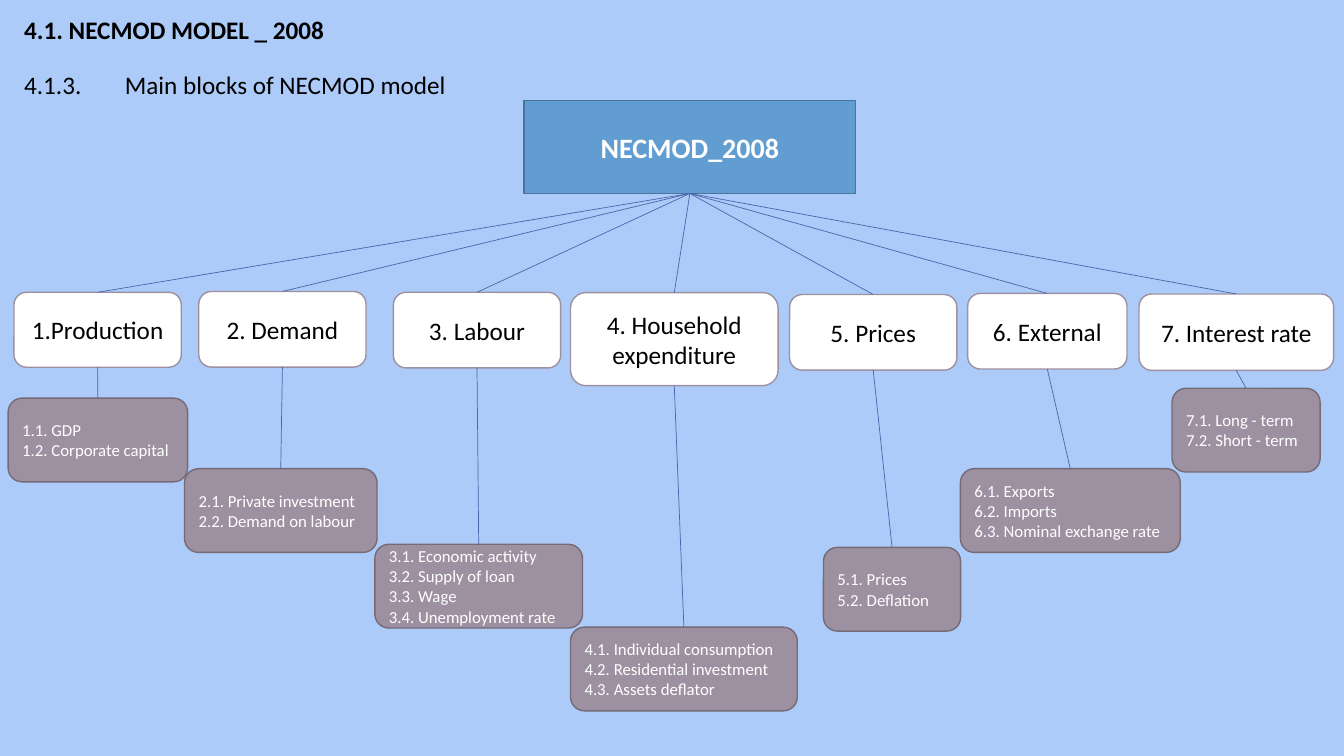
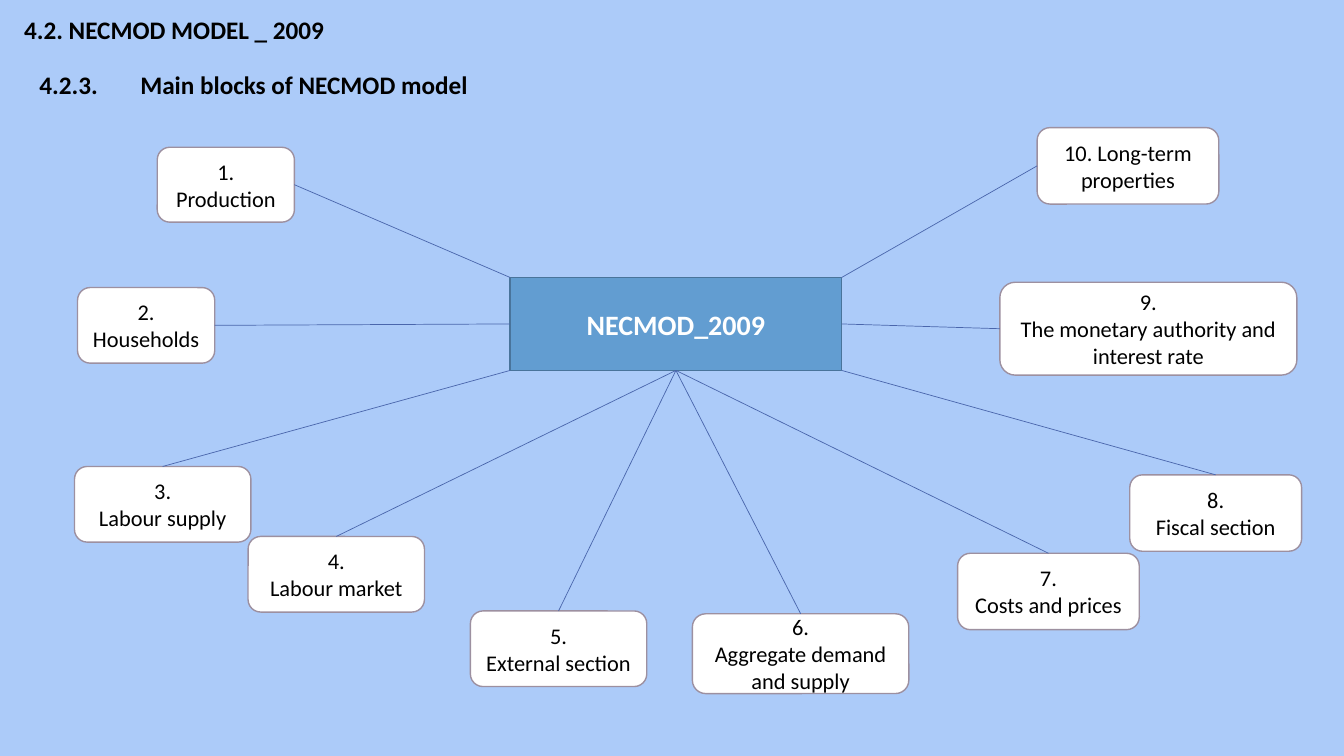
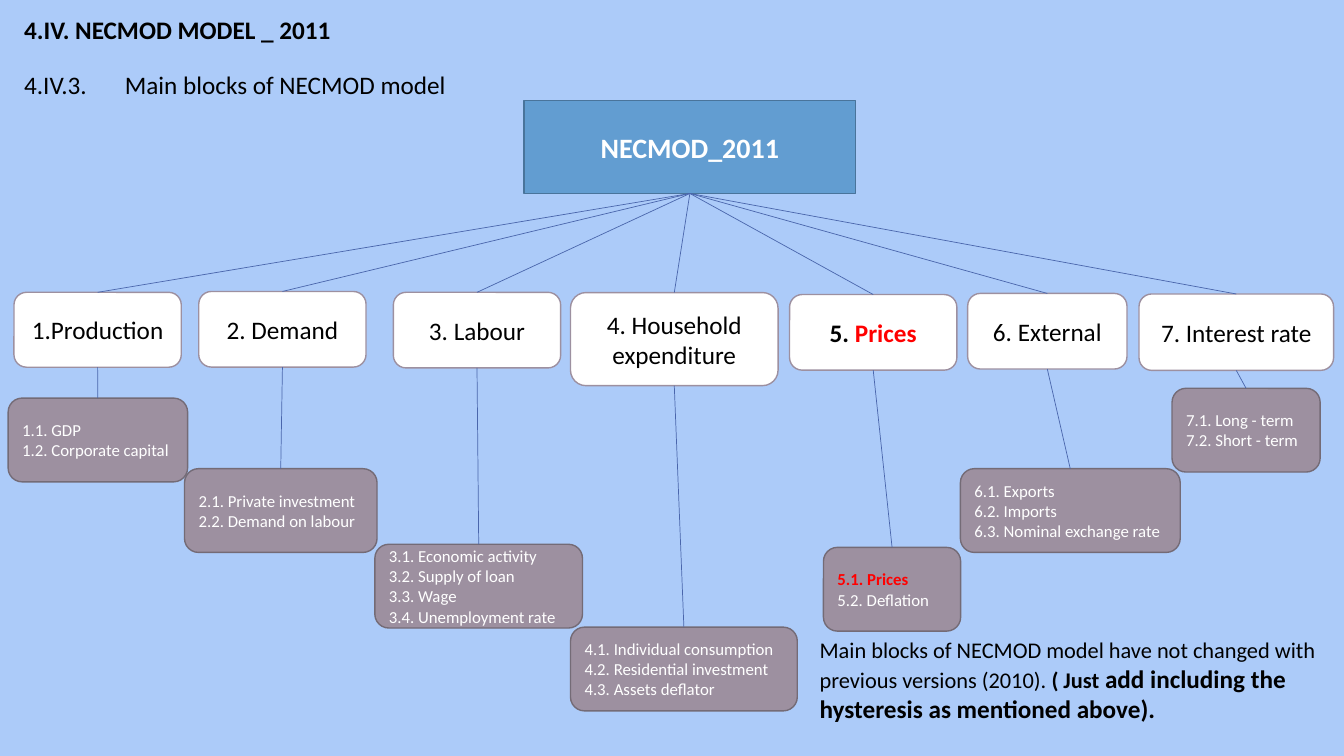
from collections import namedtuple

from lxml import etree
from pptx import Presentation
from pptx.dml.color import RGBColor
from pptx.enum import shapes, text
from pptx.oxml.ns import qn
from pptx.util import Pt

Look = namedtuple("Look", "form fill line size ink bold align")
ROUND, RECT = shapes.MSO_SHAPE.ROUNDED_RECTANGLE, shapes.MSO_SHAPE.RECTANGLE
LEFT, MID = text.PP_ALIGN.LEFT, text.PP_ALIGN.CENTER


class Theme:
    font = "Calibri"
    back, link = "ACCBF9", "4A66AC"
    ink, white, red = "000000", "FFFFFF", "FF0000"
    edge, thin = 1, 0.5
    title = Look(None, None, None, 18, ink, True, LEFT)
    body = title._replace(bold=False)
    note = body._replace(size=16)
    hub = Look(RECT, "629DD1", "49749B", 20, white, True, MID)
    head = Look(ROUND, white, "9D90A0", 18, ink, False, MID)
    node = head._replace(size=16)
    leaf = Look(ROUND, "9D90A0", "746B76", 12, white, False, LEFT)


# Points on a box, as fractions of its width and height, and their glue sites
TOP, WEST, BASE, EAST = (0.5, 0), (0, 0.5), (0.5, 1), (1, 0.5)
SITES = {TOP: 0, WEST: 1, BASE: 2, EAST: 3}


def write(frame, lines, look, marks):
    """Fill a frame; marks maps a line to runs of (text, size, colour, bold)."""
    frame.word_wrap = True
    for i, line in enumerate(lines):
        para = frame.add_paragraph() if i else frame.paragraphs[0]
        para.alignment = look.align
        para.space_before = Pt(0)
        for words, size, ink, bold in marks.get(line, [(line, look.size, look.ink, look.bold)]):
            run = para.add_run()
            run.text = words
            run.font.name = Theme.font
            run.font.size = Pt(size)
            run.font.bold = bold
            run.font.color.rgb = RGBColor.from_string(ink)


def join(slide, start, spot, end, goal):
    """Draw a line between two boxes, glued wherever a point is a glue site."""
    ends = [(box.left + int(box.width * x), box.top + int(box.height * y))
            for box, (x, y) in ((start, spot), (end, goal))]
    line = slide.shapes.add_connector(shapes.MSO_CONNECTOR.STRAIGHT, *ends[0], *ends[1])
    if spot in SITES:
        line.begin_connect(start, SITES[spot])
    if goal in SITES:
        line.end_connect(end, SITES[goal])
    line.line.color.rgb = RGBColor.from_string(Theme.link)
    line.line.width = Pt(Theme.thin)
    etree.SubElement(line._element.spPr, qn("a:effectLst"))


# Blocks of the tree: head box, head text, list box, list lines
TREE = [
    ((10, 208.8, 119.5, 53.5), "1.Production", (5.8, 284.4, 128.2),
     ["1.1. GDP", "1.2. Corporate capital"]),
    ((142, 208.2, 119.5, 54), "2. Demand", (131.8, 334.8, 137.5),
     ["2.1. Private investment", "2.2. Demand on labour"]),
    ((281, 208.8, 119.5, 54), "3. Labour", (267.8, 388.8, 148.3),
     ["3.1. Economic activity", "3.2. Supply of loan", "3.3. Wage", "3.4. Unemployment rate"]),
    ((407.5, 209, 148.3, 66.5), "4. Household expenditure", (407.5, 448, 162),
     ["4.1. Individual consumption", "4.2. Residential investment", "4.3. Assets deflator"]),
    ((564, 210.4, 119.5, 54), "5. Prices", (588.2, 391, 98),
     ["5.1. Prices", "5.2. Deflation"]),
    ((691.2, 209.6, 113.8, 54), "6. External", (686, 334.8, 157),
     ["6.1. Exports", "6.2. Imports", "6.3. Nominal exchange rate"]),
    ((813.6, 210, 139, 54.6), "7. Interest rate", (837.2, 277.4, 105.8),
     ["7.1. Long - term", "7.2. Short - term"]),
]
tall = 59.8

# Blocks of the star: box, lines, point on the hub, point on the box
STAR = [
    ((112.3, 105.2, 98, 53.5), ["1.", "Production"], (0, 0), EAST),
    ((55.4, 205.4, 98, 54), ["2. Households"], WEST, EAST),
    ((53.2, 333.2, 126, 54), ["3.", "Labour supply"], (0, 1), TOP),
    ((177.2, 383.2, 126, 54), ["4.", "Labour market"], BASE, TOP),
    ((336, 436.4, 126, 54), ["5.", "External section"], BASE, TOP),
    ((494.6, 438.4, 154.6, 57), ["6.", "Aggregate demand and supply"], BASE, TOP),
    ((684, 395.2, 129.8, 54.6), ["7.", "Costs and prices"], BASE, TOP),
    ((807, 339.2, 122.8, 54.6), ["8.", "Fiscal section"], (1, 1), TOP),
    ((714.2, 201.6, 212.2, 66.4), ["9.", "The monetary authority and interest rate"], EAST, WEST),
    ((740.8, 91.2, 129.8, 54.6), ["10. Long-term properties"], (1, 0), WEST),
]

# Boxes are (rectangle, look, lines); links are (box, point, box, point), with the hub as box 0
count = len(TREE)
tree = ([(rect, Theme.head, [name]) for rect, name, _, _ in TREE]
        + [((*rect, tall), Theme.leaf, lines) for _, _, rect, lines in TREE])
twigs = ([(0, BASE, i, TOP) for i in range(1, count + 1)]
         + [(i, BASE, i + count, TOP) for i in range(1, count + 1)])
star = [(rect, Theme.node, lines) for rect, lines, _, _ in STAR]
rays = [(0, spot, i, goal) for i, (_, _, spot, goal) in enumerate(STAR, 1)]

note = "Main blocks of NECMOD model have not changed"
news = {
    "5. Prices": [("5. ", 18, Theme.ink, True), ("Prices", 18, Theme.red, True)],
    "5.1. Prices": [("5.1. Prices", 12, Theme.red, True)],
    note: [
        (note + " with previous versions (2010). ", 16, Theme.ink, False),
        ("( Just", 16, Theme.ink, True),
        (" add including the hysteresis as mentioned above).", 18, Theme.ink, True),
    ],
}

# Section, year, left and tab of the subtitle, its weight, hub corner, boxes, links, marks
PAGES = [
    ("4.1.", 2008, 10, 49, False, (374.4, 71.8), tree, twigs, {}),
    ("4.2.", 2009, 21, 50, True, (364.4, 198.2), star, rays, {}),
    ("4.IV.", 2011, 10, 55, False, (374.4, 71.8), tree, twigs, news),
]

deck = Presentation()
deck.slide_width, deck.slide_height = Pt(960), Pt(540)
fill = deck.slide_master.background.fill
fill.solid()
fill.fore_color.rgb = RGBColor.from_string(Theme.back)
layout = deck.slide_layouts[1]

for part, year, left, tab, bold, spot, blocks, links, marks in PAGES:
    slide = deck.slides.add_slide(layout)
    title, body = slide.shapes.title, slide.placeholders[1]
    for shape, rect in ((title, (10, 6.5, 300, 29)), (body, (left, 35.3, 360, 36))):
        shape.left, shape.top, shape.width, shape.height = map(Pt, rect)
        shape.text_frame.auto_size = text.MSO_AUTO_SIZE.NONE
        shape.text_frame.vertical_anchor = text.MSO_ANCHOR.TOP
    write(title.text_frame, [f"{part} NECMOD MODEL _ {year}"], Theme.title, marks)

    para = body.text_frame.paragraphs[0]
    props = para._p.get_or_add_pPr()
    props.set("marL", "0")
    props.set("indent", "0")
    etree.SubElement(props, qn("a:buNone"))
    tabs = etree.SubElement(props, qn("a:tabLst"))
    etree.SubElement(tabs, qn("a:tab"), pos=str(Pt(tab)), algn="l")
    para.line_spacing = 1.5
    write(body.text_frame, [f"{part}3.\tMain blocks of NECMOD model"],
          Theme.body._replace(bold=bold), marks)

    hub = ((*spot, 236.8, 66.4), Theme.hub, [f"NECMOD_{year}"])
    boxes = []
    for rect, look, lines in [hub, *blocks]:
        box = slide.shapes.add_shape(look.form, *map(Pt, rect))
        box.shadow.inherit = False
        box.fill.solid()
        box.fill.fore_color.rgb = RGBColor.from_string(look.fill)
        box.line.color.rgb = RGBColor.from_string(look.line)
        box.line.width = Pt(Theme.edge)
        write(box.text_frame, lines, look, marks)
        boxes.append(box)
    for start, here, end, there in links:
        join(slide, boxes[start], here, boxes[end], there)

    if note in marks:
        area = slide.shapes.add_textbox(*map(Pt, (578.4, 450.8, 381.6, 70.6)))
        write(area.text_frame, [note], Theme.note, marks)

deck.save("out.pptx")
